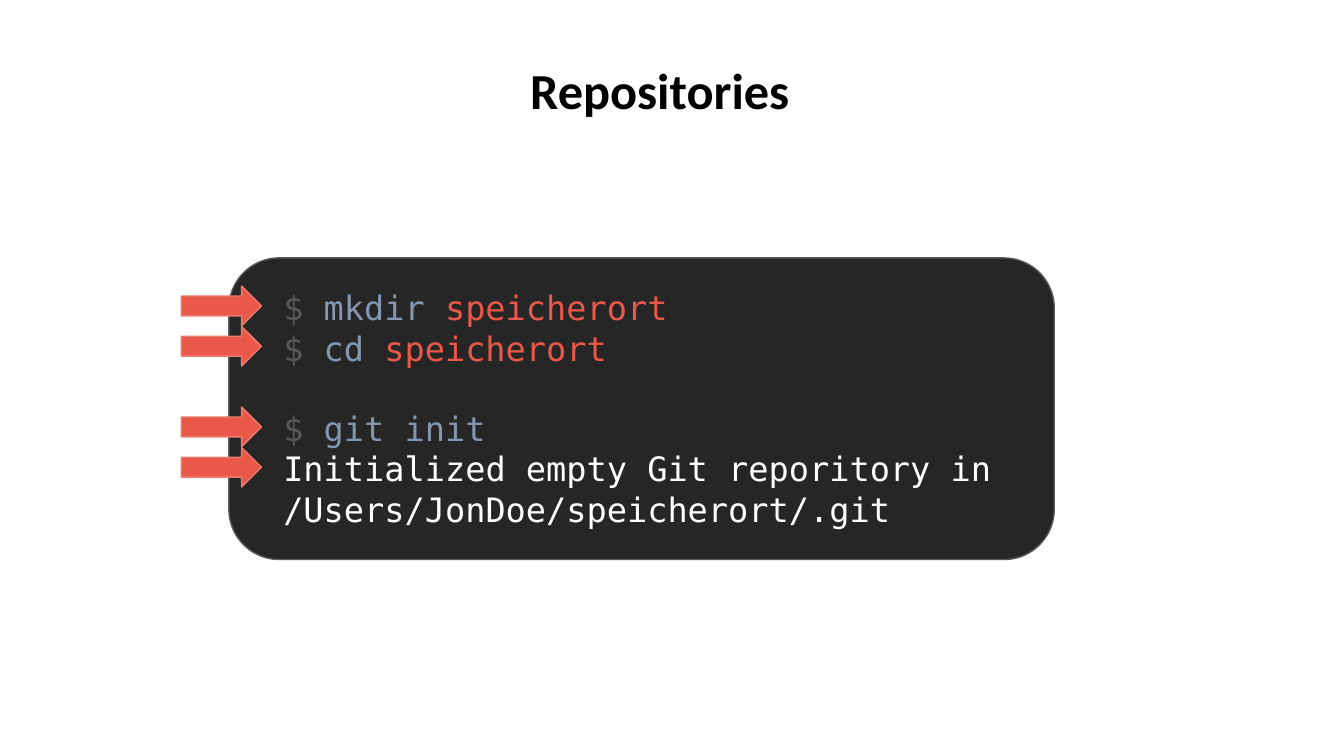
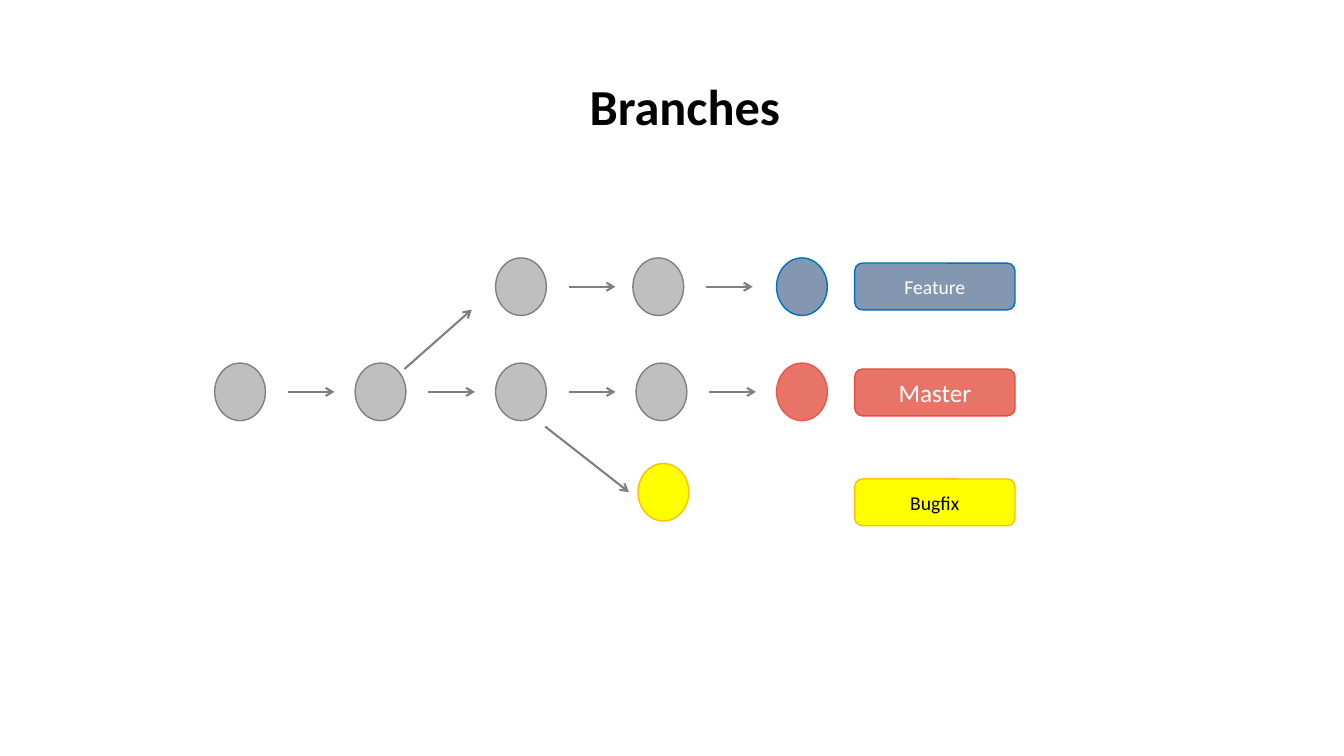
from lxml import etree
from pptx import Presentation
from pptx import util as u
from pptx.dml.color import RGBColor
from pptx.enum import shapes, text
from pptx.oxml import ns

Cm, Pt = u.Cm, u.Pt
SHAPE = shapes.MSO_SHAPE

BLACK = RGBColor(0x00, 0x00, 0x00)
WHITE = RGBColor(0xFF, 0xFF, 0xFF)
PANEL = RGBColor(0x26, 0x26, 0x26)
DIM = RGBColor(0x59, 0x59, 0x59)
SLATE = RGBColor(0x84, 0x97, 0xB0)
BLUE = RGBColor(0x00, 0x70, 0xC0)
RED = RGBColor(0xE9, 0x58, 0x49)
RED_EDGE = RGBColor(0xED, 0x7B, 0x6F)
SALMON = RGBColor(0xE8, 0x74, 0x68)
BRICK = RGBColor(0xE7, 0x4C, 0x3C)
SILVER = RGBColor(0xBF, 0xBF, 0xBF)
GREY = RGBColor(0x80, 0x80, 0x80)
YELLOW = RGBColor(0xFF, 0xFF, 0x00)
AMBER = RGBColor(0xFF, 0xC0, 0x00)

SANS = "Calibri"
MONO = "DejaVu Sans Mono"

LINE_PITCH = Pt(28.8)
COMMANDS = [
    [("$ ", DIM), ("mkdir ", SLATE), ("speicherort", RED)],
    [("$ ", DIM), ("cd ", SLATE), ("speicherort", RED)],
    [("$ ", DIM), ("git init", SLATE)],
    [("Initialized empty Git reporitory in /Users/JonDoe/speicherort/.git", WHITE)],
]
COMMAND_AFTER_GAP = 2
MARKED_LINES = (0, 1, 3, 4)

NODE_W, NODE_H = Cm(1.28), Cm(1.45)
ARROW_START, ARROW_LENGTH = Cm(1.84), Cm(1.18)
COLUMN = 3.54
COMMIT = (SILVER, GREY)
ROWS = [
    (0.02, [2 * COLUMN, 10.54, 4 * COLUMN], (SLATE, BLUE)),
    (2.67, [i * COLUMN for i in range(5)], (SALMON, RED)),
    (5.2, [10.67], (YELLOW, AMBER)),
]
FORKS = [(4.78, 2.82, 6.48, 1.32), (8.33, 4.27, 10.44, 5.92)]
LABELS = [
    ("Feature", 0.15, 14, WHITE, SLATE, BLUE),
    ("Master", 2.82, 18, WHITE, SALMON, BRICK),
    ("Bugfix", 5.59, 14, BLACK, YELLOW, AMBER),
]


def add_run(p, words, size, color, font=SANS, bold=False):
    r = p.add_run()
    r.text = words
    r.font.name = font
    r.font.size = Pt(size)
    r.font.bold = bold
    r.font.color.rgb = color


def add_box(s, kind, x, y, w, h, fill, edge):
    sp = s.shapes.add_shape(kind, x, y, w, h)
    sp.shadow.inherit = False
    sp.fill.solid()
    sp.fill.fore_color.rgb = fill
    sp.line.color.rgb = edge
    sp.line.width = Pt(1)
    return sp


def add_arrow(s, x1, y1, x2, y2):
    cx = s.shapes.add_connector(shapes.MSO_CONNECTOR.STRAIGHT, x1, y1, x2, y2)
    cx.line.color.rgb = GREY
    cx.line.width = Pt(1.5)
    etree.SubElement(cx.line._get_or_add_ln(), ns.qn("a:tailEnd"), type="arrow")
    etree.SubElement(cx._element.spPr, ns.qn("a:effectLst"))


def add_title(s, words, x, y, w):
    tf = s.shapes.add_textbox(x, y, w, Cm(1.8)).text_frame
    tf.word_wrap = True
    p = tf.paragraphs[0]
    p.alignment = text.PP_ALIGN.CENTER
    add_run(p, words, 36, BLACK, bold=True)


def add_terminal(s, x, y, w, h):
    add_box(s, SHAPE.ROUNDED_RECTANGLE, x, y, w, h, PANEL, DIM)
    tf = s.shapes.add_textbox(x + Cm(1.12), y + Cm(0.61),
                              w - Cm(2.2), h - Cm(1.2)).text_frame
    tf.word_wrap = True
    for i, command in enumerate(COMMANDS):
        p = tf.add_paragraph() if i else tf.paragraphs[0]
        p.line_spacing = LINE_PITCH
        if i == COMMAND_AFTER_GAP:
            p.space_before = LINE_PITCH
        for words, color in command:
            add_run(p, words, 24, color, MONO)
    for line in MARKED_LINES:
        add_box(s, SHAPE.RIGHT_ARROW, x - Cm(1.2), y + Cm(0.71) + line * LINE_PITCH,
                Cm(2.02), Cm(1), RED, RED_EDGE)


def add_branch(s, x, y, columns, head):
    last = len(columns) - 1
    for i, column in enumerate(columns):
        left = x + Cm(column)
        fill, edge = head if i == last else COMMIT
        add_box(s, SHAPE.OVAL, left, y, NODE_W, NODE_H, fill, edge)
        if i < last:
            start, mid = left + ARROW_START, y + NODE_H // 2
            add_arrow(s, start, mid, start + ARROW_LENGTH, mid)


def add_label(s, x, y, words, size, color, fill, edge):
    sp = add_box(s, SHAPE.ROUNDED_RECTANGLE, x, y, Cm(4.04), Cm(1.18), fill, edge)
    tf = sp.text_frame
    tf.vertical_anchor = text.MSO_ANCHOR.MIDDLE
    p = tf.paragraphs[0]
    p.alignment = text.PP_ALIGN.CENTER
    add_run(p, words, size, color)


def add_history(s, x, y):
    for top, columns, head in ROWS:
        add_branch(s, x, y + Cm(top), columns, head)
    for x1, y1, x2, y2 in FORKS:
        add_arrow(s, x + Cm(x1), y + Cm(y1), x + Cm(x2), y + Cm(y2))
    for words, top, *style in LABELS:
        add_label(s, x + Cm(16.13), y + Cm(top), words, *style)


def repositories_slide(prs):
    s = prs.slides.add_slide(prs.slide_layouts[6])
    add_title(s, "Repositories", Cm(1), Cm(1.37), Cm(31.26))
    add_terminal(s, Cm(5.77), Cm(6.5), Cm(20.8), Cm(7.6))


def branches_slide(prs):
    s = prs.slides.add_slide(prs.slide_layouts[6])
    add_title(s, "Branches", Cm(2.72), Cm(1.78), Cm(29.08))
    add_history(s, Cm(5.41), Cm(6.48))


def main():
    prs = Presentation()
    prs.slide_width, prs.slide_height = Cm(33.87), Cm(19.05)
    repositories_slide(prs)
    branches_slide(prs)
    prs.save("out.pptx")


if __name__ == "__main__":
    main()
